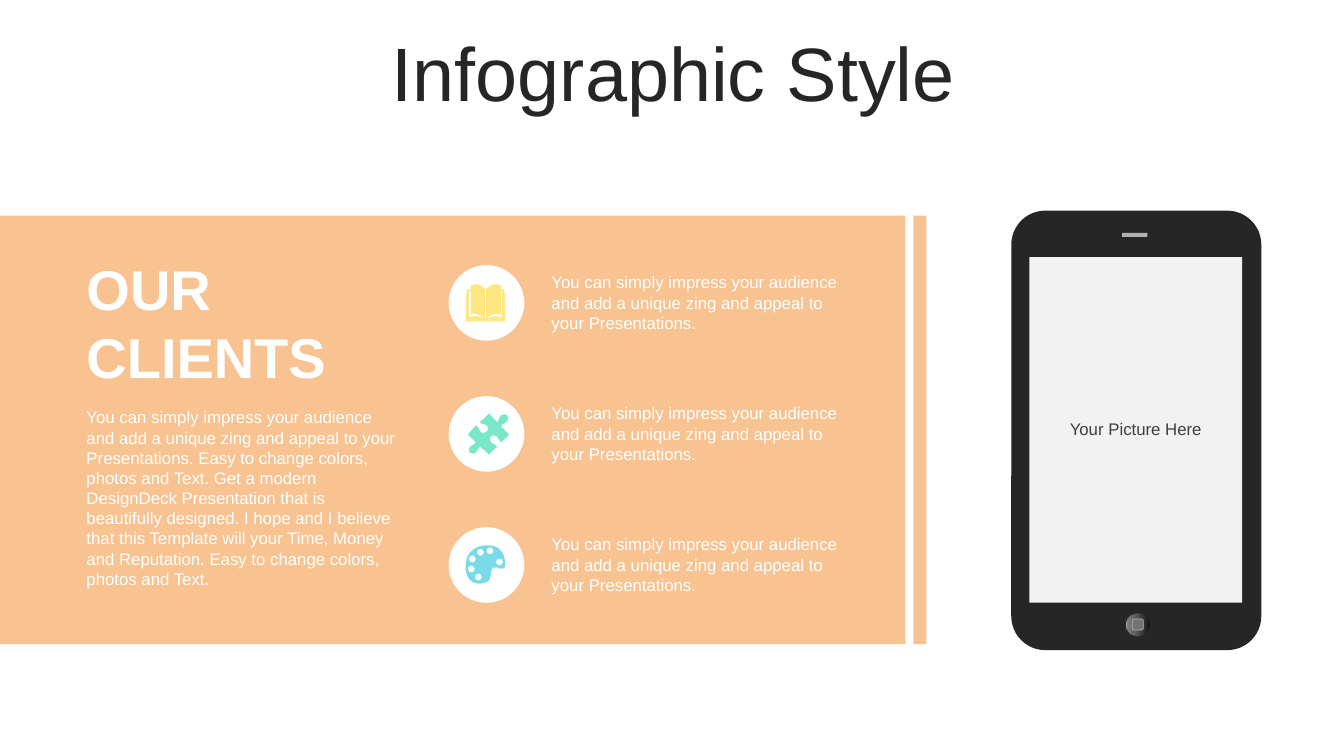
from lxml import etree
from pptx import Presentation
from pptx.dml.color import RGBColor
from pptx.enum.shapes import MSO_SHAPE as SHAPE
from pptx.enum.text import MSO_ANCHOR as ANCHOR, PP_ALIGN as ALIGN
from pptx.oxml.ns import qn
from pptx.util import Inches, Pt

# Content
TITLE = "Infographic Style"
HEADING = ["OUR", "CLIENTS"]
BODY = ("You can simply impress your audience and add a unique zing and appeal to your "
        "Presentations. Easy to change colors, photos and Text. Get a modern DesignDeck "
        "Presentation that is beautifully designed. I hope and I believe that this Template "
        "will your Time, Money and Reputation. Easy to change colors, photos and Text.")
ITEM = ("You can simply impress your audience and add a unique zing and appeal to your "
        "Presentations.")
SCREEN = "Your Picture Here"

# Colours
PEACH, DARK, WHITE, GREY, PALE = "F8C391", "262626", "FFFFFF", "B0B0B0", "F2F2F2"
BUTTON_STOPS = [(0, "0F0F0F"), (56, "595959"), (91, "808080"), (100, "BFBFBF")]

# Icon outlines in hundredths of an inch: M move, L line, C curve
BOOK = """M 481 316 C 481 316 482 316 482 316 C 489 314 492 313 498 315 L 498 289
L 497 289 C 497 297 497 304 497 312 C 492 310 487 312 482 316 L 482 287
C 485 284 488 282 491 282 C 493 282 495 283 497 283 C 497 285 497 286 497 287
L 500 287 L 500 291 L 501 291 L 501 319 L 462 319 L 462 291 L 463 291 L 463 287
L 467 287 C 467 286 467 285 467 283 C 469 283 470 282 472 282
C 476 282 478 284 481 287 L 481 316 C 476 312 471 310 467 312 L 467 289
L 465 289 L 465 315 C 471 312 475 314 481 316"""
PUZZLE = """M 503 412 C 504 414 505 416 503 418 C 501 421 499 419 497 423 L 505 431
L 497 439 C 494 437 495 435 493 433 C 491 431 488 432 487 433
C 486 434 485 437 487 439 C 490 441 490 440 493 443 L 485 451 L 476 443
C 473 445 475 446 472 449 C 470 451 467 450 466 449 C 465 448 464 445 466 443
C 468 441 470 442 472 439 L 464 431 L 472 422 C 476 424 474 427 477 429
C 479 430 481 430 483 428 C 484 427 485 424 483 422 C 480 420 479 422 476 419
L 485 410 L 493 419 C 496 416 494 415 497 412 C 499 410 502 411 503 412"""
PALETTE = """M 483 541 C 484 541 485 541 486 541 C 493 541 498 546 500 552
C 504 567 497 565 493 563 C 481 561 495 580 474 579 C 462 578 460 564 463 554
C 465 548 471 541 483 541"""
PAINT_WELLS = [(474.5, 572.5), (467.5, 564.5), (495.5, 557.5),
               (468.5, 554.5), (476.5, 548), (486, 546.5)]
WELL_RADIUS = 3.5
ICONS = [(BOOK, [], "FEE680"), (PUZZLE, [], "7AE8C8"), (PALETTE, PAINT_WELLS, "7ADAE8")]

# Layout in inches
PANEL_TOP, PANEL_H = 2.14, 4.25
CIRCLE_X, CIRCLE_TOP, CIRCLE_D, ROW_PITCH = 4.45, 2.63, 0.75, 1.3
ITEM_X, ITEM_W, ITEM_H = 5.35, 3.17, 0.71

prs = Presentation()
prs.slide_width, prs.slide_height = Inches(13.33), Inches(7.5)
slide = prs.slides.add_slide(prs.slide_layouts[6])


def rgb(color):
    return RGBColor.from_string(color)


def paint(sp, fill):
    sp.shadow.inherit = False
    sp.fill.solid()
    sp.fill.fore_color.rgb = rgb(fill)
    sp.line.fill.background()
    return sp


def add_shape(parent, kind, box, fill):
    return paint(parent.shapes.add_shape(kind, *map(Inches, box)), fill)


def write(sp, lines, size, color, bold=False, align=ALIGN.LEFT, anchor=ANCHOR.TOP, spacing=None):
    tf = sp.text_frame
    tf.word_wrap = True
    tf.vertical_anchor = anchor
    for i, line in enumerate(lines):
        p = tf.add_paragraph() if i else tf.paragraphs[0]
        p.alignment = align
        if spacing:
            p.line_spacing = spacing
        r = p.add_run()
        r.text = line
        r.font.name, r.font.size, r.font.bold = "Arial", Pt(size), bold
        r.font.color.rgb = rgb(color)
    return tf


def add_text(box, lines, size, color, **style):
    return write(slide.shapes.add_textbox(*map(Inches, box)), lines, size, color, **style)


def contour(outline):
    """List the steps of an outline, each as its points in thousandths of an inch."""
    steps = []
    for token in outline.split():
        if token in "MLC":
            steps.append([])
        else:
            steps[-1].append(round(float(token) * 10))
    return [list(zip(s[::2], s[1::2])) for s in steps]


def ring(x, y):
    r, k = WELL_RADIUS, WELL_RADIUS * 0.55
    return (f"M {x} {y - r} C {x - k} {y - r} {x - r} {y - k} {x - r} {y} "
            f"C {x - r} {y + k} {x - k} {y + r} {x} {y + r} "
            f"C {x + k} {y + r} {x + r} {y + k} {x + r} {y} "
            f"C {x + r} {y - k} {x + k} {y - r} {x} {y - r}")


def add_icon(outline, wells, fill):
    loops = [contour(outline)] + [contour(ring(*well)) for well in wells]
    ends = [[step[-1] for step in loop] for loop in loops]
    builder = slide.shapes.build_freeform(*ends[0][0], scale=Inches(1) / 1000)
    for i, loop in enumerate(ends):
        if i:
            builder.move_to(*loop[0])
        builder.add_line_segments(loop[1:], close=True)
    sp = paint(builder.convert_to_shape(), fill)

    # Bend the straight steps that have control points
    left, top = (min(axis) for axis in zip(*sum(ends, [])))
    lines = list(sp._element.iter(qn("a:lnTo")))
    steps = [step for loop in loops for step in loop[1:]]
    for line, step in zip(lines, steps):
        if len(step) == 3:
            curve = etree.Element(qn("a:cubicBezTo"))
            for x, y in step:
                etree.SubElement(curve, qn("a:pt"), x=str(x - left), y=str(y - top))
            line.getparent().replace(line, curve)


# Peach panel and its edge strip
panel = slide.shapes.add_group_shape()
for x, w in [(0, 8.98), (9.06, 0.13)]:
    add_shape(panel, SHAPE.RECTANGLE, (x, PANEL_TOP, w, PANEL_H), PEACH)

# Phone: body, speaker, home button, screen
phone = slide.shapes.add_group_shape()
body = add_shape(phone, SHAPE.ROUNDED_RECTANGLE, (10.03, 2.09, 2.48, 4.36), DARK)
body.adjustments[0] = 0.136
add_shape(phone, SHAPE.RECTANGLE, (11.13, 2.31, 0.25, 0.04), GREY)

button = add_shape(phone, SHAPE.OVAL, (11.16, 6.08, 0.25, 0.24), DARK)
button.fill.gradient()
button.fill.gradient_angle = 180
stops = button.fill._fill._gradFill.find(qn("a:gsLst"))
for stop in list(stops):
    stops.remove(stop)
for position, color in BUTTON_STOPS:
    stop = etree.SubElement(stops, qn("a:gs"), pos=str(position * 1000))
    etree.SubElement(stop, qn("a:srgbClr"), val=color)
button.line.color.rgb = rgb(DARK)
button.line.width = Pt(0)

key = add_shape(phone, SHAPE.ROUNDED_RECTANGLE, (11.23, 6.14, 0.11, 0.11), "737373")
key.line.color.rgb = rgb(GREY)
key.line.width = Pt(0.5)

screen = add_shape(phone, SHAPE.RECTANGLE, (10.21, 2.55, 2.11, 3.43), PALE)
write(screen, [SCREEN], 12, "404040", align=ALIGN.CENTER, anchor=ANCHOR.MIDDLE, spacing=0.9)

# Title and left column
add_text((0.35, 0.37, 12.66, 0.79), [TITLE], 54, DARK,
         align=ALIGN.CENTER, anchor=ANCHOR.MIDDLE, spacing=0.9)
add_text((0.76, 2.48, 3.43, 1.45), HEADING, 40, WHITE, bold=True)
add_text((0.76, 3.99, 3.27, 1.92), [BODY], 12, WHITE)

# Rows of icon and text
for row, icon in enumerate(ICONS):
    top = CIRCLE_TOP + row * ROW_PITCH
    add_shape(slide, SHAPE.OVAL, (CIRCLE_X, top, CIRCLE_D, CIRCLE_D), WHITE)
    add_icon(*icon)
    tf = add_text((ITEM_X, top + (CIRCLE_D - ITEM_H) / 2, ITEM_W, ITEM_H), [ITEM], 12, WHITE)
    tf.margin_left = Inches(0.12)

prs.save("out.pptx")
